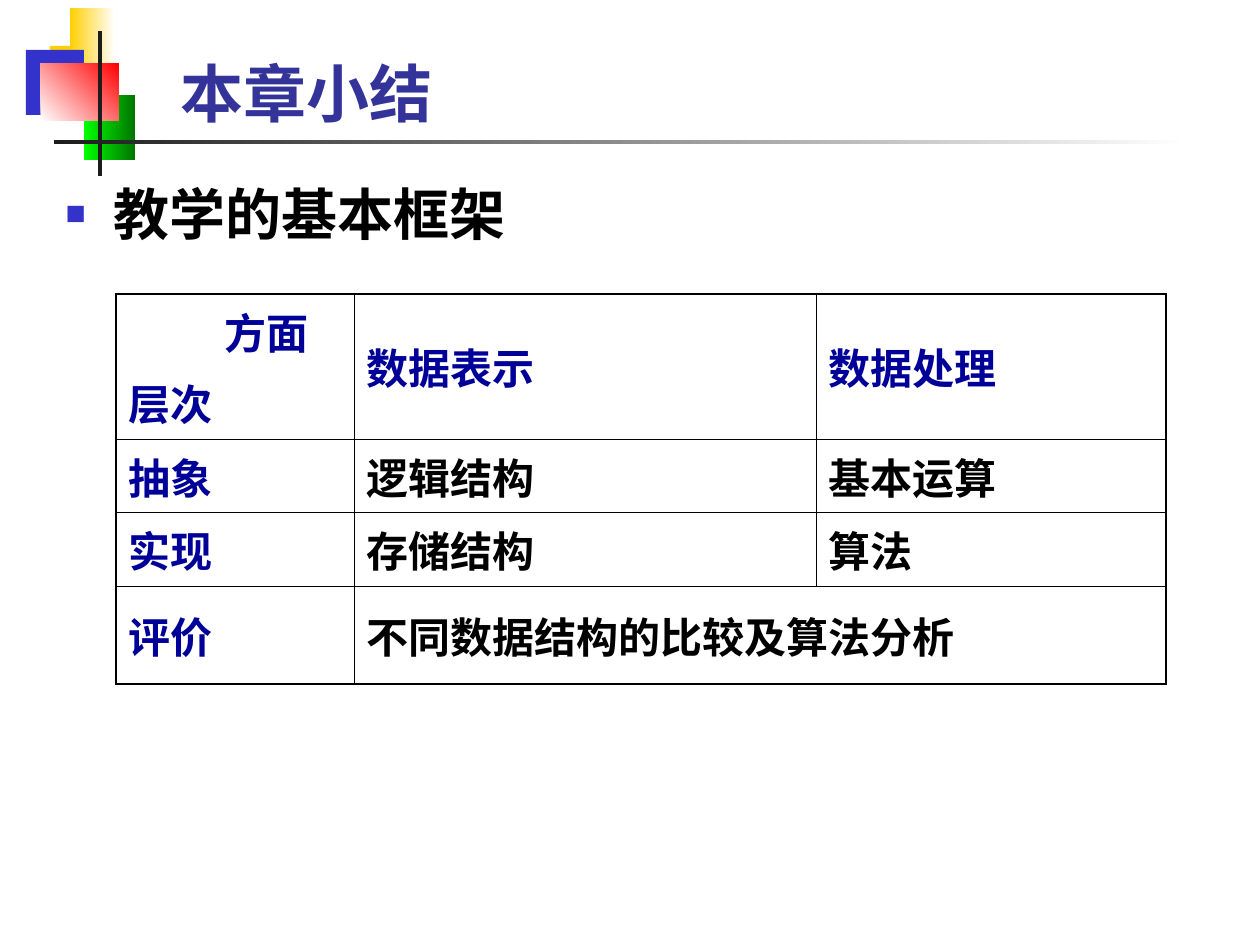
from lxml import etree
from pptx import Presentation
from pptx.dml.color import RGBColor
from pptx.enum.shapes import MSO_SHAPE
from pptx.enum.text import MSO_ANCHOR, MSO_AUTO_SIZE, PP_ALIGN
from pptx.oxml.ns import qn
from pptx.util import Pt

EMU_PER_PX = 914400 / 126
RECTANGLE = MSO_SHAPE.RECTANGLE
MIDDLE, BOTTOM, TOP = MSO_ANCHOR.MIDDLE, MSO_ANCHOR.BOTTOM, MSO_ANCHOR.TOP
LEFT = PP_ALIGN.LEFT
NO_AUTOFIT = MSO_AUTO_SIZE.NONE
FONT = "Arial Narrow"
THIN, THICK = 0.45, 1.08

COLORS = {
    "yellow": "FFCF01",
    "white": "FFFFFF",
    "blue": "3333CC",
    "light green": "00FF00",
    "dark green": "007600",
    "red": "FF0000",
    "charcoal": "1C1C1C",
    "title": "333399",
    "heading": "000099",
    "black": "000000",
}

# left, top, width, height, colours (two make a gradient), gradient angle
DECORATION = [
    (50, 46, 61, 66, ["yellow"], 0),
    (70, 8, 45, 66, ["yellow", "white"], 0),
    (26, 50, 58, 65, ["blue"], 0),
    (84, 95, 51, 65, ["light green", "dark green"], 0),
    (41, 63, 78, 58, ["white", "red"], 45),
    (98, 31, 4, 145, ["charcoal"], 0),
    (54, 140, 1134, 4, ["charcoal", "white"], 0),
]

COLUMN_WIDTHS = [238, 462, 350]
ROW_HEIGHTS = [129, 64, 64, 98]
ROWS = [
    ["方面\n层次", "数据表示", "数据处理"],
    ["抽象", "逻辑结构", "基本运算"],
    ["实现", "存储结构", "算法"],
    ["评价", "不同数据结构的比较及算法分析"],
]


def px(length):
    return round(length * EMU_PER_PX)


def rgb(name):
    return RGBColor.from_string(COLORS[name])


def write_text(text_frame, text, size, color, space_before=0):
    """Write one bold paragraph for each line of text."""
    text_frame.word_wrap = True
    text_frame.text = text
    for paragraph in text_frame.paragraphs:
        paragraph.alignment = LEFT
        paragraph.space_before = Pt(space_before)
        font = paragraph.runs[0].font
        font.name, font.size, font.bold = FONT, Pt(size), True
        font.color.rgb = rgb(color)


def set_indent(paragraph, margin, first_line=0):
    properties = paragraph._p.get_or_add_pPr()
    properties.set("marL", str(px(margin)))
    properties.set("indent", str(px(first_line)))
    return properties


def add_bullet(paragraph, character, color, percent):
    properties = set_indent(paragraph, 48, -48)
    bullet_color = etree.SubElement(properties, qn("a:buClr"))
    etree.SubElement(bullet_color, qn("a:srgbClr"), val=COLORS[color])
    etree.SubElement(properties, qn("a:buSzPct"), val=str(percent * 1000))
    etree.SubElement(properties, qn("a:buChar"), char=character)


def add_block(slide, left, top, width, height, colors, angle):
    shape = slide.shapes.add_shape(RECTANGLE, px(left), px(top), px(width), px(height))
    shape.shadow.inherit = False
    shape.line.fill.background()
    if len(colors) == 1:
        shape.fill.solid()
        shape.fill.fore_color.rgb = rgb(colors[0])
        return
    shape.fill.gradient()
    shape.fill.gradient_angle = angle
    for stop, color in zip(shape.fill.gradient_stops, colors):
        stop.color.rgb = rgb(color)


def place_placeholder(shape, left, top, width, height, anchor):
    shape.left, shape.top = px(left), px(top)
    shape.width, shape.height = px(width), px(height)
    shape.text_frame.auto_size = NO_AUTOFIT
    shape.text_frame.vertical_anchor = anchor
    # Bring the text in front of the decoration
    shape.element.getparent().append(shape.element)


def set_borders(cell, widths):
    properties = cell._tc.get_or_add_tcPr()
    for index, (side, width) in enumerate(widths.items()):
        line = etree.Element(qn(f"a:ln{side}"), w=str(Pt(width)))
        fill = etree.SubElement(line, qn("a:solidFill"))
        etree.SubElement(fill, qn("a:srgbClr"), val=COLORS["black"])
        properties.insert(index, line)


def add_framework_table(slide):
    row_count, column_count = len(ROW_HEIGHTS), len(COLUMN_WIDTHS)
    table = slide.shapes.add_table(
        row_count, column_count, px(116), px(294),
        px(sum(COLUMN_WIDTHS)), px(sum(ROW_HEIGHTS))).table
    table.first_row = table.horz_banding = False
    for column, width in zip(table.columns, COLUMN_WIDTHS):
        column.width = px(width)
    for row, height in zip(table.rows, ROW_HEIGHTS):
        row.height = px(height)
    table.cell(3, 1).merge(table.cell(3, 2))

    for row in range(row_count):
        for column in range(column_count):
            cell = table.cell(row, column)
            last_column = column + cell.span_width == column_count or cell.is_spanned
            cell.fill.background()
            cell.vertical_anchor = MIDDLE
            set_borders(cell, {
                "L": THICK if column == 0 else THIN,
                "R": THICK if last_column else THIN,
                "T": THICK if row == 0 else THIN,
                "B": THICK if row == row_count - 1 else THIN,
            })
            if not cell.is_spanned:
                color = "heading" if row == 0 or column == 0 else "black"
                write_text(cell.text_frame, ROWS[row][column], 24, color, space_before=6)
    # The column label of the corner cell sits to the right
    set_indent(table.cell(0, 0).text_frame.paragraphs[0], 96)


def main():
    presentation = Presentation()
    presentation.slide_width, presentation.slide_height = px(1260), px(945)
    slide = presentation.slides.add_slide(presentation.slide_layouts[1])

    # Corner blocks and rules
    for block in DECORATION:
        add_block(slide, *block)

    # Title
    title = slide.shapes.title
    place_placeholder(title, 168, 31, 1074, 105, BOTTOM)
    write_text(title.text_frame, "本章小结", 36, "title")

    # Bulleted body
    body = slide.placeholders[1]
    place_placeholder(body, 53, 173, 1174, 741, TOP)
    write_text(body.text_frame, "教学的基本框架", 32, "black", space_before=8)
    add_bullet(body.text_frame.paragraphs[0], "■", "blue", 60)

    # Teaching framework
    add_framework_table(slide)
    presentation.save("out.pptx")


if __name__ == "__main__":
    main()
